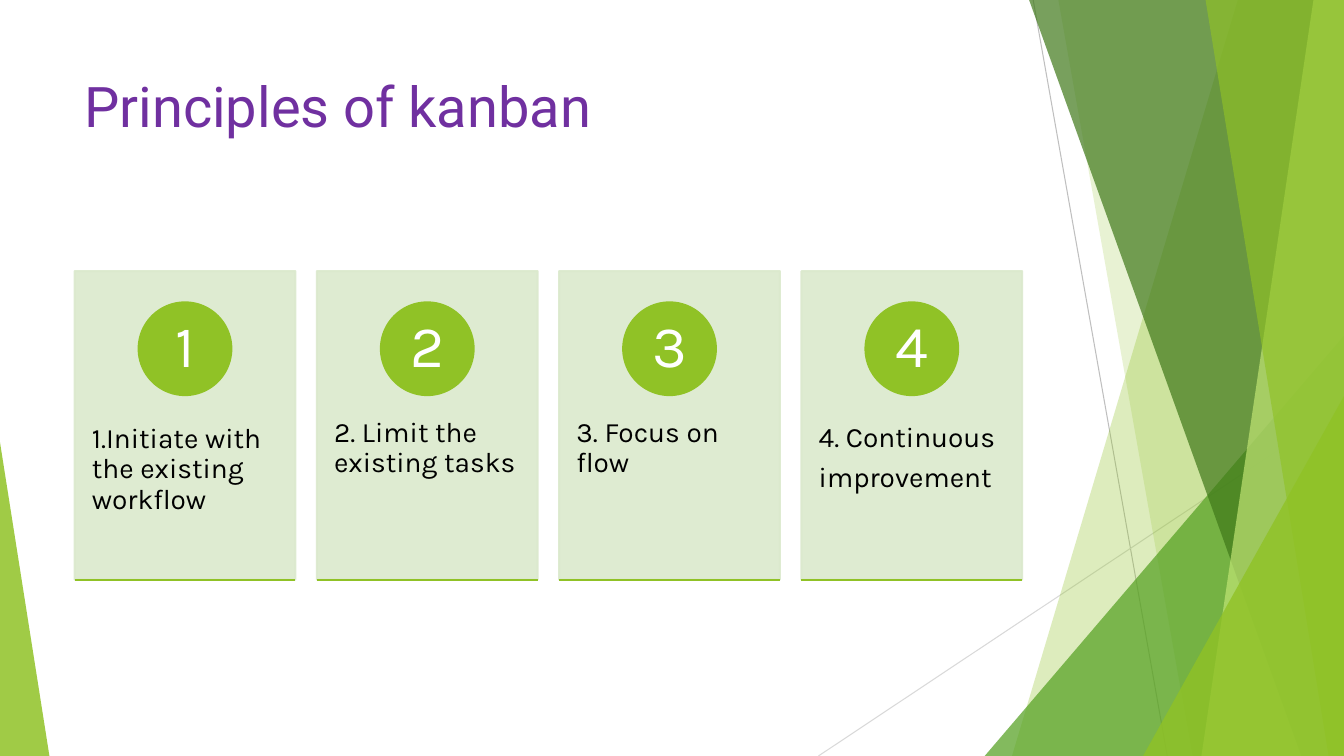
from lxml import etree
from pptx import Presentation
from pptx.dml.color import RGBColor
from pptx.enum import shapes as sh, text as tx
from pptx.oxml.ns import qn
from pptx.util import Pt

TITLE = "Principles of kanban"
CARDS = [
    ["1.Initiate with the existing workflow"],
    ["2. Limit the existing tasks"],
    ["3. Focus on flow"],
    ["4. Continuous", "improvement"],
]

THEME = dict(
    lime="90C226", leaf="54A021", moss="3F7819", pale="C0E474", card="DBE9CD",
    purple="7030A0", black="000000", white="FFFFFF", grey="BFBFBF", mist="D9D9D9",
    head=("Roboto", 40), body=("Karla", 20), digit=("Karla", 42),
)

WIDE, HIGH = 960, 540
# start x, start y, end x, end y, colour
RAYS = [(738, 0, 833.8, HIGH, "grey"), (WIDE, 290.2, 584.6, HIGH, "mist")]
# Bands reach the right edge: kind, top x, bottom x, colour, opacity
# Wedges stand on the bottom edge: kind, left, top, width, apex, colour, opacity
DECOR = [
    ("band", 884.2, 722.9, "lime", 30),
    ("band", 756, 851.8, "lime", 20),
    ("wedge", 703.4, 239.8, 256.6, 1, "leaf", 72),
    ("band", 735.1, 929.5, "moss", 70),
    ("band", 938.2, 858.2, "pale", 70),
    ("band", 861.1, 949, "lime", 65),
    ("wedge", 816.5, 283, 143.5, 1, "lime", 80),
    ("wedge", 0, 316, 35.3, 0, "lime", 85),
]
LEFT, TOP, CARD_W, CARD_H, PITCH = 53.3, 193.7, 157.7, 220.3, 173.05
DISC, DISC_TOP, DIGIT = 66.2, 216, 46.8
BODY_TOP, BODY_H = 277.2, 132.5

deck = Presentation()
deck.slide_width, deck.slide_height = Pt(WIDE), Pt(HIGH)
slide = deck.slides.add_slide(deck.slide_layouts[6])


def tint(name):
    return RGBColor.from_string(THEME[name])


def fade(fill, name, alpha):
    """Fill with a theme colour at the given opacity in percent."""
    fill.solid()
    fill.fore_color.rgb = tint(name)
    if alpha < 100:
        for node in fill._xPr.iter(qn("a:srgbClr")):
            etree.SubElement(node, qn("a:alpha"), val=str(alpha * 1000))


def paint(shape, name, alpha=100, edge=False):
    shape.shadow.inherit = False
    fade(shape.fill, name, alpha)
    if edge:
        shape.line.width = Pt(1.5)
        fade(shape.line.fill, name, alpha)
    else:
        shape.line.fill.background()


def form(kind, x, y, w, h):
    return slide.shapes.add_shape(kind, Pt(x), Pt(y), Pt(w), Pt(h))


def rule(x1, y1, x2, y2, name, width):
    line = slide.shapes.add_connector(
        sh.MSO_CONNECTOR.STRAIGHT, Pt(x1), Pt(y1), Pt(x2), Pt(y2))
    line.line.color.rgb = tint(name)
    line.line.width = Pt(width)
    etree.SubElement(line._element.spPr, qn("a:effectLst"))


def band(top, base, name, alpha):
    pen = slide.shapes.build_freeform(Pt(top), 0)
    pen.add_line_segments(
        [(Pt(WIDE), 0), (Pt(WIDE), Pt(HIGH)), (Pt(base), Pt(HIGH))], close=True)
    paint(pen.convert_to_shape(), name, alpha)


def wedge(x, y, w, apex, name, alpha):
    shape = form(sh.MSO_SHAPE.ISOSCELES_TRIANGLE, x, y, w, HIGH - y)
    shape.adjustments[0] = apex
    paint(shape, name, alpha)


def write(lines, place, font, name, inset, anchor="TOP", align="LEFT", **gaps):
    frame = slide.shapes.add_textbox(*map(Pt, place)).text_frame
    padx, pady = map(Pt, inset)
    style = dict(word_wrap=True, vertical_anchor=getattr(tx.MSO_ANCHOR, anchor),
                 margin_left=padx, margin_right=padx,
                 margin_top=pady, margin_bottom=pady)
    for key, value in style.items():
        setattr(frame, key, value)
    frame.text = "\n".join(lines)
    face, size = THEME[font]
    for para in frame.paragraphs:
        para.alignment = getattr(tx.PP_ALIGN, align)
        for key, value in gaps.items():
            setattr(para, key, value)
        para.font.name, para.font.size = face, Pt(size)
        para.font.color.rgb = tint(name)


def card(index, lines):
    x = LEFT + index * PITCH
    mid = x + CARD_W / 2
    paint(form(sh.MSO_SHAPE.RECTANGLE, x, TOP, CARD_W, CARD_H), "card", 90, True)
    write(lines, (x, BODY_TOP, CARD_W, BODY_H), "body", "black", (12.3, 25.9),
          line_spacing=0.9, space_after=Pt(7))
    paint(form(sh.MSO_SHAPE.OVAL, mid - DISC / 2, DISC_TOP, DISC, DISC),
          "lime", edge=True)
    write([str(index + 1)],
          (mid - DIGIT / 2, DISC_TOP + (DISC - DIGIT) / 2, DIGIT, DIGIT),
          "digit", "white", (5, 0.7), "MIDDLE", "CENTER", line_spacing=0.9)
    rule(x, TOP + CARD_H, x + CARD_W, TOP + CARD_H, "lime", 1.5)


for ray in RAYS:
    rule(*ray, 0.75)
for kind, *spot in DECOR:
    {"band": band, "wedge": wedge}[kind](*spot)
write([TITLE], (LEFT, 47.5, 676.8, 103.7), "head", "purple", (7.2, 3.6))
for index, lines in enumerate(CARDS):
    card(index, lines)

deck.save("out.pptx")
